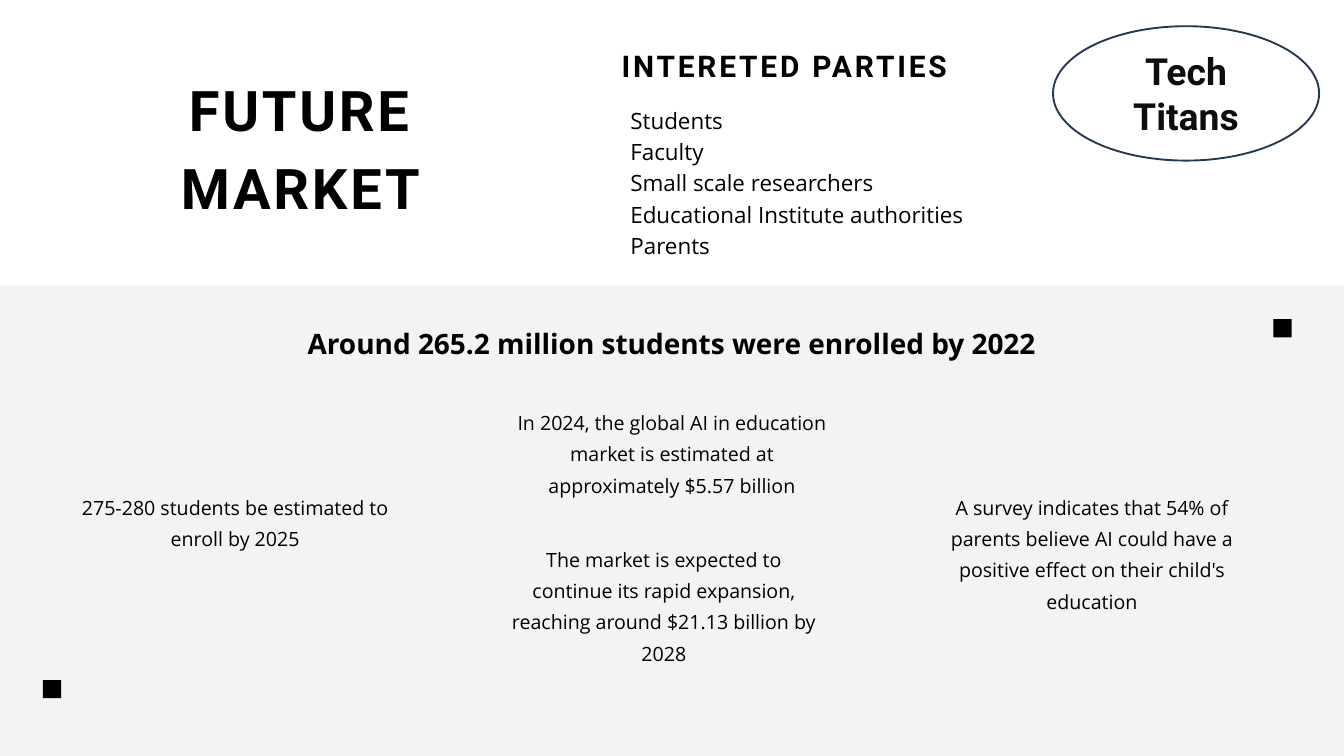
from lxml.etree import SubElement
from pptx import Presentation
from pptx.dml.color import RGBColor
from pptx.enum.shapes import MSO_SHAPE
from pptx.enum.text import MSO_ANCHOR, MSO_AUTO_SIZE, PP_ALIGN
from pptx.oxml.ns import qn
from pptx.util import Inches, Pt

COLORS = {"panel": "F2F1F1", "black": "000000", "badge": "0D0D0D", "outline": "233953"}
BODY, HEADING = "Open Sans", "Roboto"


def rgb(name):
    """Return the named palette colour."""
    return RGBColor.from_string(COLORS[name])


def style_paragraph(p, size, font, color="black", bold=False, align=PP_ALIGN.LEFT, leading=None, spacing=0):
    """Format one paragraph and its runs."""
    p.alignment = align
    if leading:
        p.line_spacing = Pt(leading)
    for r in p.runs:
        r.font.size, r.font.name, r.font.bold = Pt(size), font, bold
        r.font.color.rgb = rgb(color)
        if spacing:
            r._r.get_or_add_rPr().set("spc", str(spacing * 100))


def add_text(s, x, y, w, h, text, size, font=BODY, **style):
    """Add a text box without margins, one paragraph per line of text."""
    tf = s.shapes.add_textbox(Inches(x), Inches(y), Inches(w), Inches(h)).text_frame
    tf.margin_left = tf.margin_right = tf.margin_top = tf.margin_bottom = 0
    tf.word_wrap = True
    tf.auto_size = MSO_AUTO_SIZE.SHAPE_TO_FIT_TEXT
    tf.text = text
    for p in tf.paragraphs:
        style_paragraph(p, size, font, **style)


def add_block(s, x, y, w, h, color):
    """Add a solid rectangle without outline."""
    sp = s.shapes.add_shape(MSO_SHAPE.RECTANGLE, Inches(x), Inches(y), Inches(w), Inches(h))
    sp.shadow.inherit = False
    sp.fill.solid()
    sp.fill.fore_color.rgb = rgb(color)
    sp.line.fill.background()
    return sp


def add_title(s, x, y, w, h):
    """Add the slide title."""
    add_text(s, x, y, w, h, "FUTURE MARKET", 60, HEADING, bold=True,
             align=PP_ALIGN.CENTER, leading=84, spacing=3)


def add_parties(s, x, y, w, h):
    """Add the heading and list of interested parties."""
    parties = ["Students", "Faculty", "Small scale researchers",
               "Educational Institute authorities", "Parents"]
    add_text(s, x, y, w, 0.58, "INTERETED PARTIES", 32, HEADING, bold=True, leading=42, spacing=3)
    add_text(s, x + 0.13, y + 0.86, w, h - 0.86, "\n".join(parties), 24, leading=33.6)


def add_badge(s, x, y, w, h):
    """Add the outlined oval with the team name."""
    sp = s.shapes.add_shape(MSO_SHAPE.OVAL, Inches(x), Inches(y), Inches(w), Inches(h))
    sp.shadow.inherit = False
    sp.fill.background()
    sp.line.color.rgb = rgb("outline")
    sp.line.width = Pt(2)
    tf = sp.text_frame
    tf.word_wrap = True
    tf.vertical_anchor = MSO_ANCHOR.MIDDLE
    tf.text = "Tech Titans"
    style_paragraph(tf.paragraphs[0], 40, HEADING, "badge", True, PP_ALIGN.CENTER)


def add_market_panel(s, x, y, w, h):
    """Add the grey panel with its headline, facts and corner squares."""
    panel = add_block(s, x, y, w, h, "panel")
    fill = panel.fill.fore_color._xFill.find(qn("a:srgbClr"))
    SubElement(fill, qn("a:alpha")).set("val", "80000")
    add_text(s, x + 0.91, y + 0.52, w - 1.82, 0.55,
             "Around 265.2 million students were enrolled by 2022", 30,
             bold=True, align=PP_ALIGN.CENTER, leading=42)
    facts = [
        (1.12, 3.01, 0.89, "275-280 students be estimated to enroll by 2025"),
        (7.62, 1.75, 1.38, "In 2024, the global AI in education market is estimated "
                           "at approximately $5.57 billion"),
        (7.5, 3.78, 1.85, "The market is expected to continue its rapid expansion, "
                          "reaching around $21.13 billion by 2028"),
        (13.87, 3.01, 1.85, "A survey indicates that 54% of parents believe AI could "
                            "have a positive effect on their child's education"),
    ]
    for dx, dy, height, text in facts:
        add_text(s, x + dx, y + dy, 4.76, height, text, 21, align=PP_ALIGN.CENTER, leading=33.6)
    for dx, dy in [(0.64, 5.87), (18.95, 0.5)]:
        add_block(s, x + dx, y + dy, 0.27, 0.27, "black")


def main():
    """Build and save the slide."""
    prs = Presentation()
    prs.slide_width, prs.slide_height = Inches(20), Inches(11.25)
    s = prs.slides.add_slide(prs.slide_layouts[6])
    add_market_panel(s, 0, 4.25, 20, 7)
    add_title(s, 0.91, 0.95, 7.12, 2.33)
    add_parties(s, 9.25, 0.66, 9.71, 3.2)
    add_badge(s, 15.67, 0.39, 3.96, 2)
    prs.save("out.pptx")


if __name__ == "__main__":
    main()
